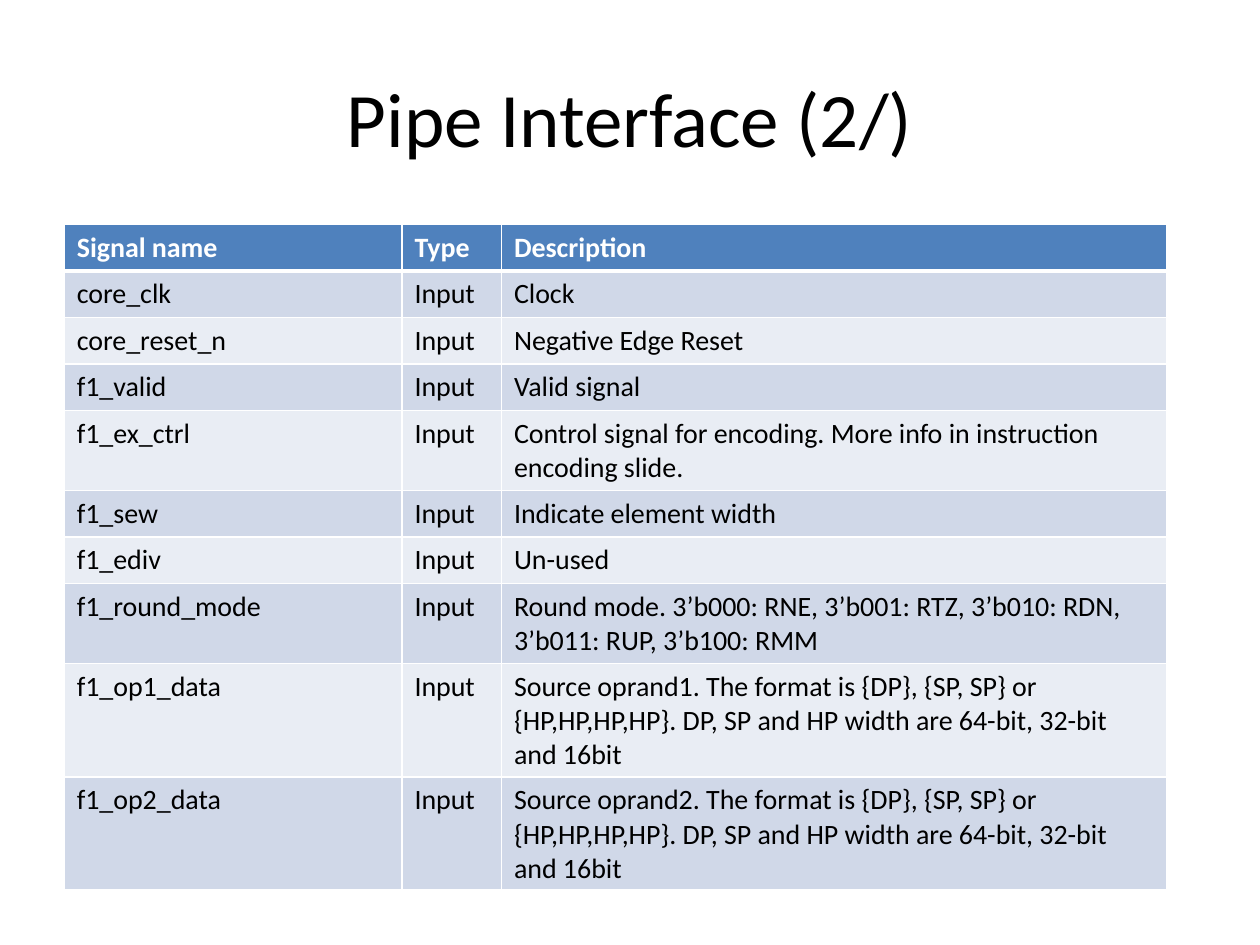
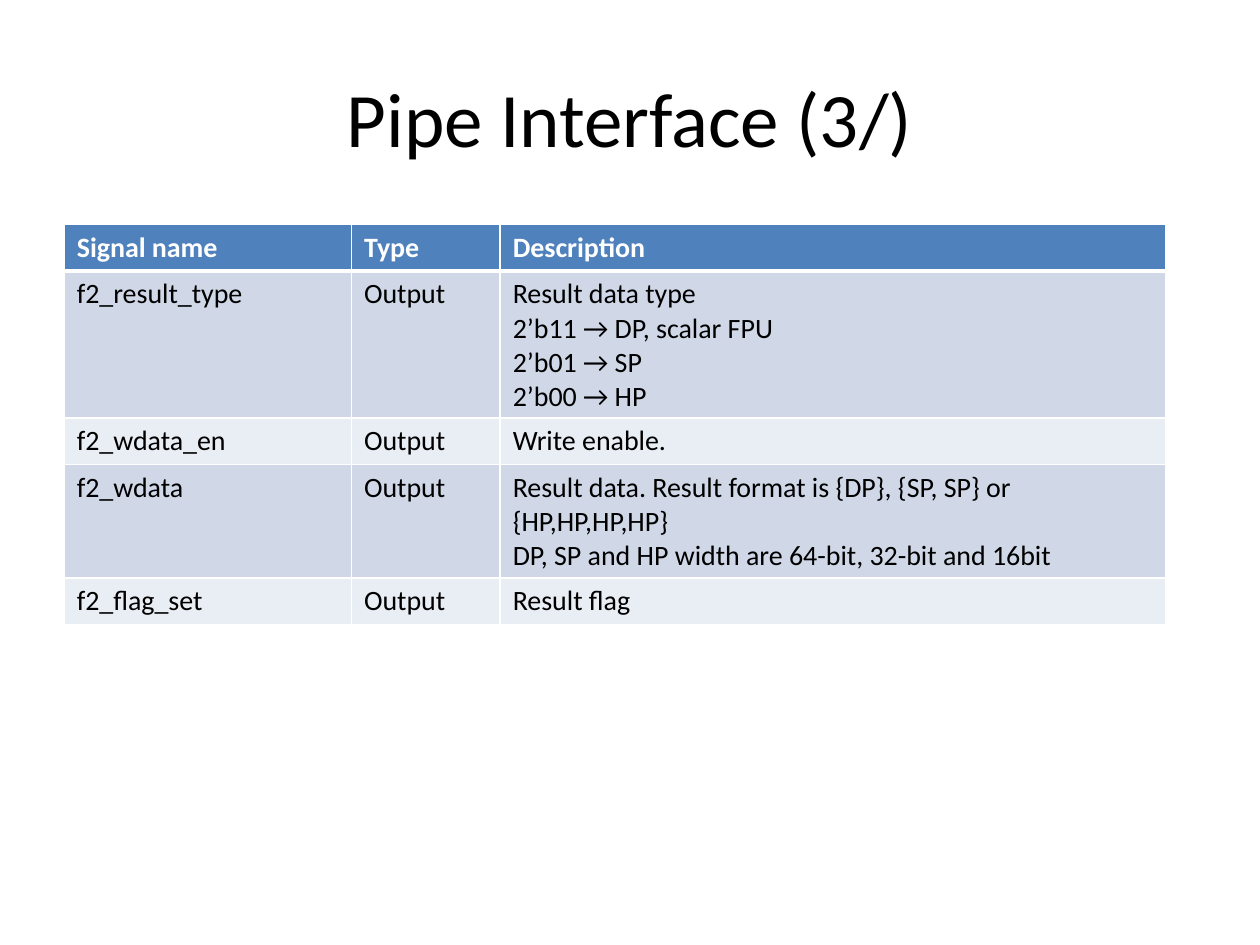
from lxml import etree
from pptx import Presentation
from pptx import util as u
from pptx.dml import color
from pptx.enum import text
from pptx.oxml import ns

# Shared look
FONT = "Calibri"
BLACK, WHITE = "000000", "FFFFFF"
HEAD = "4F81BD"
BANDS = ["E9EDF4", "D0D8E8"]
HEADS = ("Signal name", "Type", "Description")


def style(frame, size, hue, bold=False):
    for para in frame.paragraphs:
        for run in para.runs:
            run.font.name = FONT
            run.font.size = u.Pt(size)
            run.font.bold = bold
            run.font.color.rgb = color.RGBColor.from_string(hue)


def border(cell, side, width):
    props = cell._tc.get_or_add_tcPr()
    line = etree.SubElement(props, ns.qn("a:ln" + side), w=str(u.Pt(width)))
    fill = etree.SubElement(line, ns.qn("a:solidFill"))
    etree.SubElement(fill, ns.qn("a:srgbClr"), val=WHITE)


# Content: title, column widths, signal type, signals
oprand = ("Source oprand{}. The format is {{DP}}, {{SP, SP}} or {{HP,HP,HP,HP}}. "
          "DP, SP and HP width are 64-bit, 32-bit and 16bit")
pages = [
    ("Pipe Interface (2/)", (2.68, 0.79, 5.28), "Input", [
        ("core_clk", "Clock"),
        ("core_reset_n", "Negative Edge Reset"),
        ("f1_valid", "Valid signal"),
        ("f1_ex_ctrl", "Control signal for encoding. More info in instruction encoding slide."),
        ("f1_sew", "Indicate element width"),
        ("f1_ediv", "Un-used"),
        ("f1_round_mode", "Round mode. 3’b000: RNE, 3’b001: RTZ, 3’b010: RDN, "
                          "3’b011: RUP, 3’b100: RMM"),
        ("f1_op1_data", oprand.format(1)),
        ("f1_op2_data", oprand.format(2)),
    ]),
    ("Pipe Interface (3/)", (2.28, 1.18, 5.28), "Output", [
        ("f2_result_type", "Result data type\n2’b11 → DP, scalar FPU\n2’b01 → SP\n2’b00 → HP"),
        ("f2_wdata_en", "Write enable."),
        ("f2_wdata", "Result data. Result format is {DP}, {SP, SP} or {HP,HP,HP,HP}\n"
                     "DP, SP and HP width are 64-bit, 32-bit and 16bit"),
        ("f2_flag_set", "Result flag"),
    ]),
]

deck = Presentation()
deck.slide_width, deck.slide_height = u.Inches(10), u.Inches(7.5)

for title, widths, kind, signals in pages:
    slide = deck.slides.add_slide(deck.slide_layouts[6])

    # Title
    box = slide.shapes.add_textbox(u.Inches(0.5), u.Inches(0.3), u.Inches(9), u.Inches(1.25))
    frame = box.text_frame
    frame.word_wrap = True
    frame.vertical_anchor = text.MSO_ANCHOR.MIDDLE
    frame.text = title
    frame.paragraphs[0].alignment = text.PP_ALIGN.CENTER
    style(frame, 44, BLACK)

    # Signal table; rows grow with their text
    rows = [HEADS] + [(name, kind, note) for name, note in signals]
    table = slide.shapes.add_table(
        len(rows), len(HEADS), u.Inches(0.51), u.Inches(1.78),
        u.Inches(sum(widths)), u.Inches(0.37 * len(rows))).table
    for col, width in zip(table.columns, widths):
        col.width = u.Inches(width)

    for r, row in enumerate(rows):
        for c, words in enumerate(row):
            cell = table.cell(r, c)
            cell.text_frame.text = words
            style(cell.text_frame, 16, BLACK if r else WHITE, bold=r == 0)
            # A thick rule parts the header from the body
            for side in "LRTB":
                thick = (r, side) in ((0, "B"), (1, "T"))
                border(cell, side, 3 if thick else 1)
            cell.fill.solid()
            cell.fill.fore_color.rgb = color.RGBColor.from_string(BANDS[r % 2] if r else HEAD)

deck.save("out.pptx")
